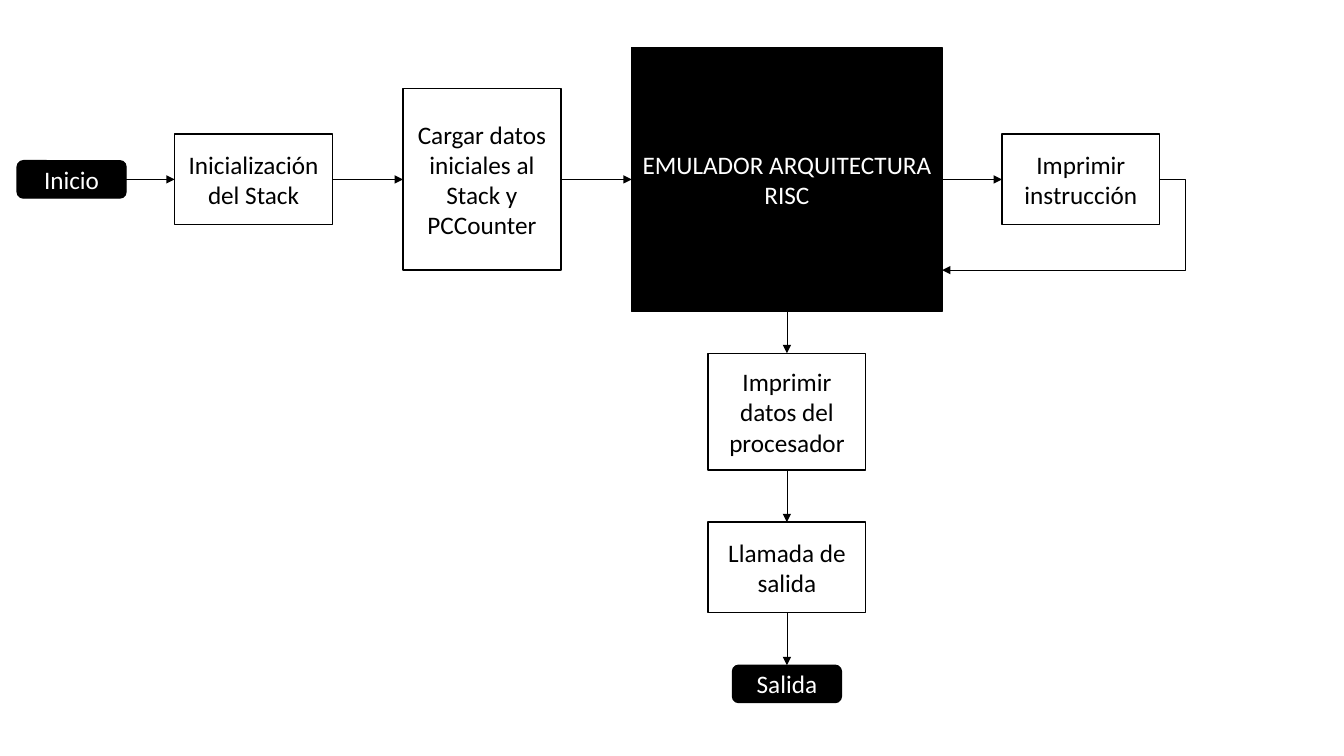
from itertools import pairwise

from lxml import etree
from pptx import Presentation
from pptx.dml.color import RGBColor
from pptx.enum.shapes import MSO_CONNECTOR, MSO_SHAPE
from pptx.enum.text import MSO_ANCHOR, PP_ALIGN
from pptx.oxml.ns import qn
from pptx.util import Inches, Pt

RECTANGLE, ROUNDED = MSO_SHAPE.RECTANGLE, MSO_SHAPE.ROUNDED_RECTANGLE
STRAIGHT, ELBOW = MSO_CONNECTOR.STRAIGHT, MSO_CONNECTOR.ELBOW
CENTER, MIDDLE = PP_ALIGN.CENTER, MSO_ANCHOR.MIDDLE
TOP, LEFT, BOTTOM, RIGHT = range(4)
BLACK, WHITE = "000000", "FFFFFF"
SLIDE_WIDTH, SLIDE_HEIGHT = Inches(13.33), Inches(7.5)
COLUMNS, ROWS = 1333, 750
FLOW_ROW, FLOW_COLUMN = 178, 780.5
STEP_WIDTH, STEP_HEIGHT = 156.5, 90
TERMINAL_SIZE = (108, 37)


def across(columns):
    """Convert grid columns to a horizontal length."""
    return round(SLIDE_WIDTH * columns / COLUMNS)


def down(rows):
    """Convert grid rows to a vertical length."""
    return round(SLIDE_HEIGHT * rows / ROWS)


def color(hex_string):
    """Return the colour for a hex string."""
    return RGBColor.from_string(hex_string)


def add_block(slide, text, center, size, fill=WHITE, kind=RECTANGLE):
    """Add a labelled block centred on a grid point."""
    (column, row), (width, height) = center, size
    shape = slide.shapes.add_shape(
        kind, across(column - width / 2), down(row - height / 2), across(width), down(height))
    shape.shadow.inherit = False
    shape.fill.solid()
    shape.fill.fore_color.rgb = color(fill)
    shape.line.color.rgb = color(BLACK)
    shape.line.width = Pt(1)
    frame = shape.text_frame
    frame.word_wrap = True
    frame.vertical_anchor = MIDDLE
    frame.text = text
    for paragraph in frame.paragraphs:
        paragraph.alignment = CENTER
        paragraph.font.name = "Calibri"
        paragraph.font.size = Pt(18)
        paragraph.font.color.rgb = color(WHITE if fill == BLACK else BLACK)
    return shape


def add_step(slide, text, center, height=STEP_HEIGHT):
    """Add a white process step."""
    return add_block(slide, text, center, (STEP_WIDTH, height))


def add_terminal(slide, text, center):
    """Add a rounded black start or end block."""
    return add_block(slide, text, center, TERMINAL_SIZE, BLACK, ROUNDED)


def add_arrow(slide, kind, begin_x=0, begin_y=0, end_x=0, end_y=0):
    """Add a thin black connector with a triangle at its end."""
    connector = slide.shapes.add_connector(kind, begin_x, begin_y, end_x, end_y)
    connector.line.color.rgb = color(BLACK)
    connector.line.width = Pt(0.5)
    etree.SubElement(connector.line._get_or_add_ln(), qn("a:tailEnd"), type="triangle")
    etree.SubElement(connector._element.spPr, qn("a:effectLst"))
    return connector


def join_chain(slide, blocks, begin_side, end_side):
    """Join consecutive blocks with straight arrows."""
    for source, target in pairwise(blocks):
        connector = add_arrow(slide, STRAIGHT)
        connector.begin_connect(source, begin_side)
        connector.end_connect(target, end_side)


def add_return_arrow(slide, source, target, rows_below, overhang):
    """Add an elbow arrow looping from the source back to the target's right side."""
    begin_x = source.left + source.width
    begin_y = source.top + source.height // 2
    end_x = target.left + target.width
    connector = add_arrow(slide, ELBOW, begin_x, begin_y, end_x, begin_y + down(rows_below))
    bend = -round(100000 * across(overhang) / (begin_x - end_x))
    geometry = connector._element.spPr.find(qn("a:prstGeom"))
    adjustments = geometry.find(qn("a:avLst"))
    if adjustments is None:
        adjustments = etree.SubElement(geometry, qn("a:avLst"))
    etree.SubElement(adjustments, qn("a:gd"), name="adj1", fmla=f"val {bend}")


def main():
    """Build the emulator flow chart."""
    presentation = Presentation()
    presentation.slide_width, presentation.slide_height = SLIDE_WIDTH, SLIDE_HEIGHT
    slide = presentation.slides.add_slide(presentation.slide_layouts[6])

    start = add_terminal(slide, "Inicio", (71, FLOW_ROW))
    stack = add_step(slide, "Inicialización del Stack", (251.5, FLOW_ROW))
    load = add_step(
        slide, "Cargar datos iniciales al Stack y\nPCCounter", (478, FLOW_ROW), 2 * STEP_HEIGHT)
    emulator = add_block(
        slide, "EMULADOR ARQUITECTURA RISC", (FLOW_COLUMN, FLOW_ROW), (308, 262), BLACK)
    instruction = add_step(slide, "Imprimir instrucción", (1072, FLOW_ROW))
    processor = add_step(slide, "Imprimir datos del procesador", (FLOW_COLUMN, 408.5), 116)
    exit_call = add_step(slide, "Llamada de salida", (FLOW_COLUMN, 563))
    finish = add_terminal(slide, "Salida", (FLOW_COLUMN, 678.5))

    join_chain(slide, [start, stack, load, emulator, instruction], RIGHT, LEFT)
    join_chain(slide, [emulator, processor, exit_call, finish], BOTTOM, TOP)
    add_return_arrow(slide, instruction, emulator, STEP_HEIGHT, 25)
    presentation.save("out.pptx")


if __name__ == "__main__":
    main()
